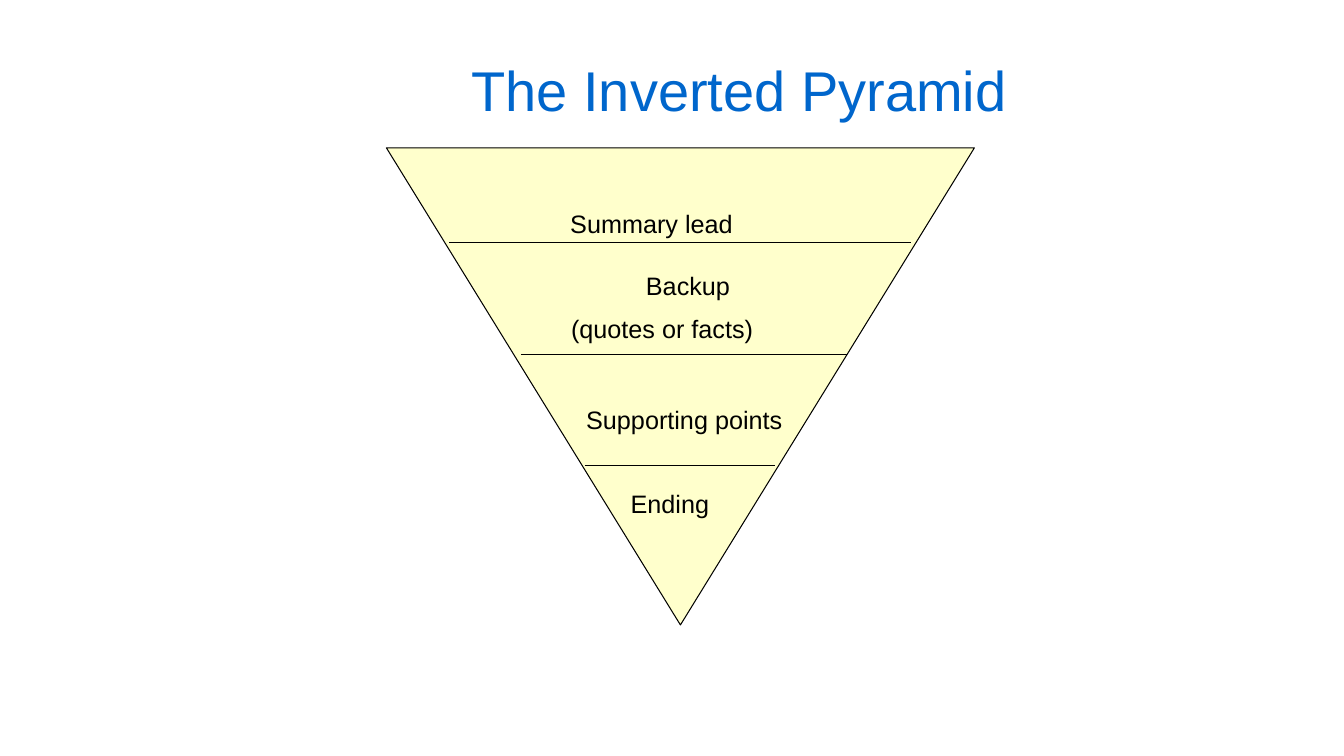
from dataclasses import dataclass

from lxml import etree
from pptx import Presentation
from pptx import util as u
from pptx.dml.color import RGBColor
from pptx.enum import shapes, text
from pptx.oxml.ns import qn


@dataclass(frozen=True)
class Theme:
    font: str = "Arial"
    title_size: float = 40
    label_size: float = 18
    line_width: float = 0.75
    title: str = "0066CC"
    ink: str = "000000"
    pyramid: str = "FFFFCC"


THEME = Theme()

# The slide is a grid of 160 columns by 90 rows of square cells
COLUMNS, ROWS = 160, 90
WIDTH, HEIGHT = u.Inches(13.33), u.Inches(7.5)

LABEL_WIDTH = 30.2
LABELS = [  # left column, top row, height in rows, lines
    (66.7, 24.2, 4.8, ["Summary lead"]),
    (66.8, 31.6, 10.2, ["Backup", "(quotes or facts)"]),
    (68.6, 47.5, 4.8, ["Supporting points"]),
    (73.9, 57.6, 4.8, ["Ending"]),
]
FIRST_DIVIDER, DIVIDER_STEP = 28.9, 13.25
DIVIDERS = [(53.5, 108.4), (62, 100.8), (69.6, 92.3)]  # from and to columns


def across(columns):
    return round(WIDTH * columns / COLUMNS)


def down(rows):
    return round(HEIGHT * rows / ROWS)


def area(left, top, width, height):
    return across(left), down(top), across(width), down(height)


def style_line(line):
    line.color.rgb = RGBColor.from_string(THEME.ink)
    line.width = u.Pt(THEME.line_width)


def add_text(page, place, lines, size, color):
    box = page.shapes.add_textbox(*area(*place))
    frame = box.text_frame
    frame.word_wrap = True
    frame.text = "\n".join(lines)
    for index, para in enumerate(frame.paragraphs):
        if index:
            para.space_before = u.Pt(size / 2)
        para.font.name = THEME.font
        para.font.size = u.Pt(size)
        para.font.color.rgb = RGBColor.from_string(color)
    return frame


def add_title(page, wording):
    frame = add_text(page, (38, 2.5, 102, 15), [wording],
                     THEME.title_size, THEME.title)
    frame.vertical_anchor = text.MSO_ANCHOR.MIDDLE
    frame.margin_top = u.Inches(0.15)
    frame.margin_right = u.Inches(0.27)
    frame.paragraphs[0].alignment = text.PP_ALIGN.CENTER


def add_pyramid(page):
    pyramid = page.shapes.add_shape(
        shapes.MSO_SHAPE.ISOSCELES_TRIANGLE, *area(46, 17.6, 70, 56.8))
    pyramid.rotation = 180
    pyramid.shadow.inherit = False
    pyramid.fill.solid()
    pyramid.fill.fore_color.rgb = RGBColor.from_string(THEME.pyramid)
    style_line(pyramid.line)


def add_divider(page, start, end, row):
    divider = page.shapes.add_connector(
        shapes.MSO_CONNECTOR.STRAIGHT,
        across(start), down(row), across(end), down(row))
    style_line(divider.line)
    etree.SubElement(divider._element.spPr, qn("a:effectLst"))


def add_label(page, left, top, height, lines):
    frame = add_text(page, (left, top, LABEL_WIDTH, height), lines,
                     THEME.label_size, THEME.ink)
    frame.auto_size = text.MSO_AUTO_SIZE.SHAPE_TO_FIT_TEXT
    if len(lines) > 1:  # a heading line is centred over its detail
        frame.paragraphs[0].alignment = text.PP_ALIGN.CENTER


def main():
    deck = Presentation()
    deck.slide_width, deck.slide_height = WIDTH, HEIGHT
    page = deck.slides.add_slide(deck.slide_layouts[6])

    # Title and pyramid
    add_title(page, "The Inverted Pyramid")
    add_pyramid(page)

    # Bands of the pyramid
    for index, (start, end) in enumerate(DIVIDERS):
        add_divider(page, start, end, FIRST_DIVIDER + index * DIVIDER_STEP)
    for label in LABELS:
        add_label(page, *label)

    deck.save("out.pptx")


if __name__ == "__main__":
    main()
